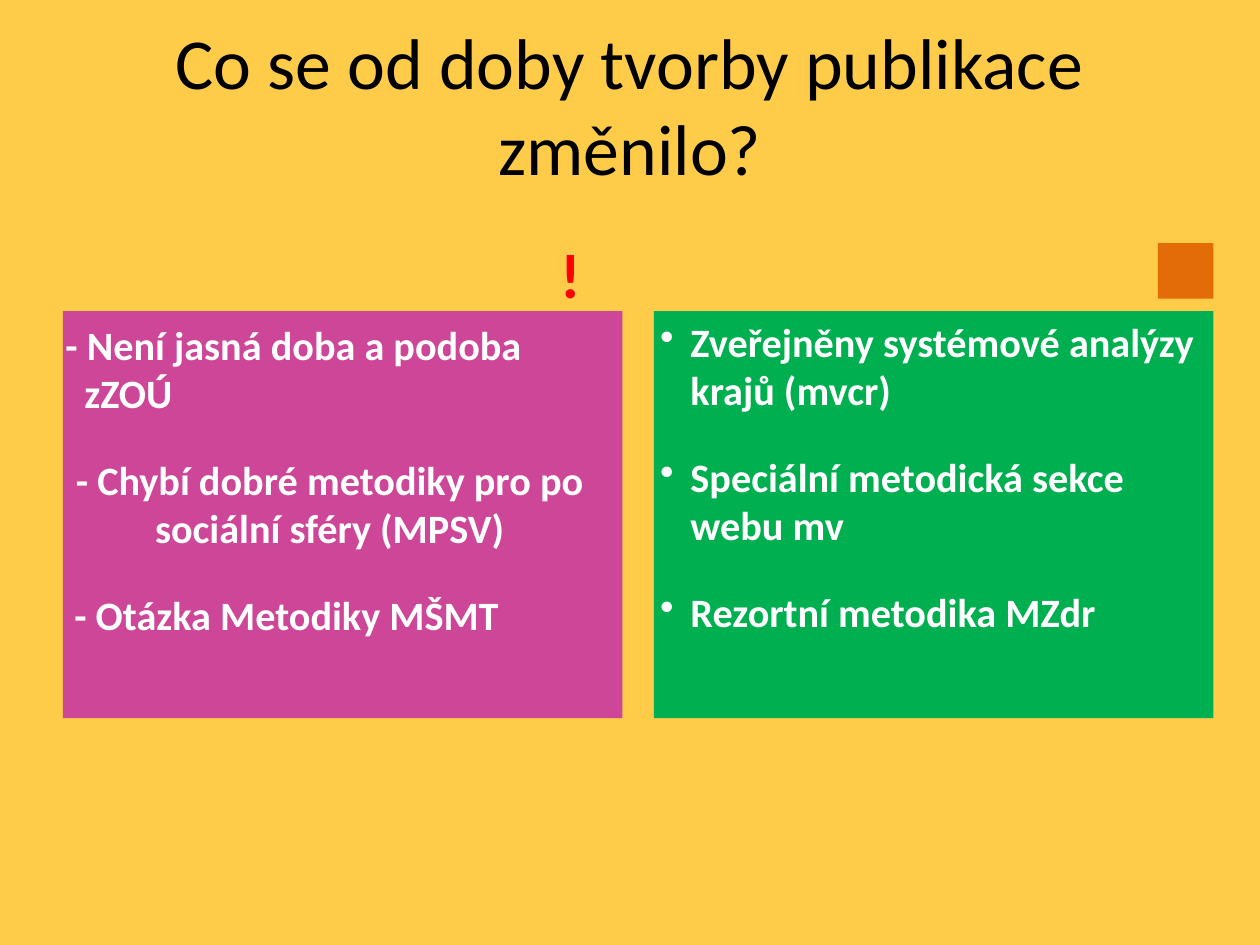
import pptx
import pptx.dml.color
import pptx.enum.shapes
import pptx.enum.text
import pptx.util
from lxml import etree

inches = pptx.util.Inches
ALIGN = pptx.enum.text.PP_ALIGN
ANCHOR = pptx.enum.text.MSO_ANCHOR
MARGIN, COLUMN, PITCH = 0.5, 4.44, 4.69
PANEL_TOP, PANEL_HEIGHT = 2.47, 3.23
MARKER = 0.44


def colour(value):
    """Turn a hex string into a colour."""
    return pptx.dml.color.RGBColor.from_string(value)


def column_left(index):
    """Give the left edge of a column of the grid."""
    return MARGIN + index * PITCH


def add_block(slide, box, fill):
    """Add a plain filled rectangle."""
    shape = slide.shapes.add_shape(
        pptx.enum.shapes.MSO_SHAPE.RECTANGLE, *map(inches, box))
    shape.shadow.inherit = False
    shape.fill.solid()
    shape.fill.fore_color.rgb = colour(fill)
    shape.line.fill.background()


def set_indent(paragraph, indent, bullet):
    """Indent a paragraph, hanging it when it has a bullet."""
    properties = paragraph._p.get_or_add_pPr()
    properties.set("marL", str(inches(indent)))
    properties.set("indent", str(inches(-indent if bullet else 0)))
    if bullet:
        tag = pptx.oxml.ns.qn("a:buChar")
        etree.SubElement(properties, tag).set("char", bullet)


def add_text(slide, box, paragraphs, size, font_colour, bold=True,
             anchor=ANCHOR.TOP, right_inset=0.05):
    """Add a text box from (text, format values) pairs."""
    frame = slide.shapes.add_textbox(*map(inches, box)).text_frame
    values = {"margin_left": inches(0.05), "margin_top": inches(0.05),
              "margin_right": inches(right_inset), "margin_bottom": inches(0.05),
              "word_wrap": True, "vertical_anchor": anchor}
    for name, value in values.items():
        setattr(frame, name, value)
    for number, (text, layout) in enumerate(paragraphs):
        paragraph = frame.add_paragraph() if number else frame.paragraphs[0]
        paragraph.alignment = layout.get("align", ALIGN.LEFT)
        paragraph.space_before = pptx.util.Pt(layout.get("before", 0))
        set_indent(paragraph, layout.get("indent", 0), layout.get("bullet"))
        run = paragraph.add_run()
        run.text = text
        font = {"name": "Calibri", "size": pptx.util.Pt(size), "bold": bold}
        for name, value in font.items():
            setattr(run.font, name, value)
        run.font.color.rgb = colour(font_colour)


def main():
    """Build the slide and save it."""
    presentation = pptx.Presentation()
    presentation.slide_width, presentation.slide_height = inches(10), inches(7.5)
    slide = presentation.slides.add_slide(presentation.slide_layouts[6])
    slide.background.fill.solid()
    slide.background.fill.fore_color.rgb = colour("FFCC49")
    centred = {"align": ALIGN.CENTER}

    add_text(slide, (MARGIN, 0.09, 9, 1.47),
             [("Co se od doby tvorby publikace změnilo?", centred)],
             41, "000000", bold=False, anchor=ANCHOR.MIDDLE)

    for index, fill in enumerate(("CE4698", "00B050")):
        add_block(slide, (column_left(index), PANEL_TOP, COLUMN, PANEL_HEIGHT), fill)
    marker_left = column_left(1) + COLUMN - MARKER
    add_block(slide, (marker_left, 1.93, MARKER, MARKER), "E46C08")

    problems = [
        ("- Není jasná doba a podoba", {"indent": 0.07}),
        ("zZOÚ", {"indent": 0.22}),
        ("- Chybí dobré metodiky pro po sociální sféry (MPSV)",
         {"before": 22, **centred}),
        ("- Otázka Metodiky MŠMT", {"before": 22, "indent": 0.14}),
    ]
    add_text(slide, (column_left(0) - 0.1, 2.49, COLUMN, 3.46),
             problems, 23, "FFFFFF")

    news = ("Zveřejněny systémové analýzy krajů (mvcr)",
            "Speciální metodická sekce webu mv", "Rezortní metodika MZdr")
    bullets = [(text, {"bullet": "•", "indent": 0.24, "before": 22 if number else 0})
               for number, text in enumerate(news)]
    add_text(slide, (column_left(1), PANEL_TOP, COLUMN, 3.55),
             bullets, 23, "FFFFFF")

    add_text(slide, (4.28, 1.82, 0.61, 0.7), [("!", centred)],
             36, "FF0000", right_inset=0.16)
    presentation.save("out.pptx")


if __name__ == "__main__":
    main()
